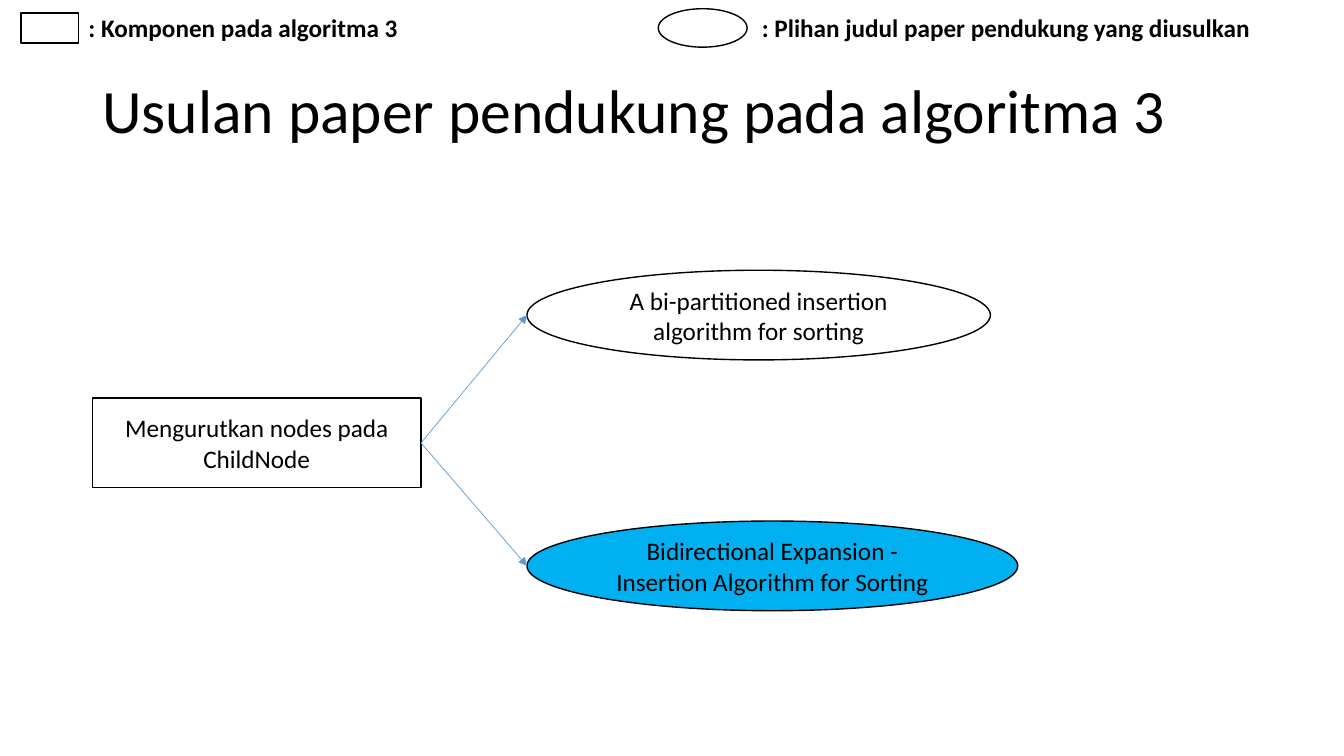
from lxml import etree
from pptx import Presentation
from pptx.dml.color import RGBColor
from pptx.enum.shapes import MSO_CONNECTOR, MSO_SHAPE
from pptx.enum.text import MSO_ANCHOR, MSO_AUTO_SIZE, PP_ALIGN
from pptx.oxml.ns import qn
from pptx.util import Cm, Pt

RECT, OVAL = MSO_SHAPE.RECTANGLE, MSO_SHAPE.OVAL
STRAIGHT = MSO_CONNECTOR.STRAIGHT
TOP, MIDDLE = MSO_ANCHOR.TOP, MSO_ANCHOR.MIDDLE
LEFT, CENTER = PP_ALIGN.LEFT, PP_ALIGN.CENTER
FIT_SHAPE = MSO_AUTO_SIZE.SHAPE_TO_FIT_TEXT
COLORS = {"text": "000000", "paper": "FFFFFF", "chosen": "00B0F0", "arrow": "5B9BD5"}
BODY = {"name": "Calibri", "size": Pt(18), "bold": False}
LEGEND = {**BODY, "bold": True}
TITLE = {**BODY, "size": Pt(44)}


def rgb(name):
    return RGBColor.from_string(COLORS[name])


def write(tf, text, font, align=LEFT, anchor=TOP, wrap=True):
    tf.word_wrap = wrap
    tf.vertical_anchor = anchor
    p = tf.paragraphs[0]
    p.alignment = align
    r = p.add_run()
    r.text = text
    for key, value in font.items():
        setattr(r.font, key, value)
    r.font.color.rgb = rgb("text")
    return p


def add_node(s, kind, box, text="", fill="paper"):
    sp = s.shapes.add_shape(kind, *map(Cm, box))
    sp.shadow.inherit = False
    sp.fill.solid()
    sp.fill.fore_color.rgb = rgb(fill)
    sp.line.color.rgb = rgb("text")
    sp.line.width = Pt(1)
    if text:
        write(sp.text_frame, text, BODY, CENTER, MIDDLE)


def add_arrow(s, start, end):
    cx = s.shapes.add_connector(STRAIGHT, *map(Cm, start + end))
    cx.line.color.rgb = rgb("arrow")
    cx.line.width = Pt(0.5)
    ln = cx.line._get_or_add_ln()
    etree.SubElement(ln, qn("a:tailEnd"), type="triangle")
    etree.SubElement(cx._element.spPr, qn("a:effectLst"))


def add_title(s, box, text):
    tb = s.shapes.add_textbox(*map(Cm, box))
    p = write(tb.text_frame, text, TITLE, anchor=MIDDLE)
    p.line_spacing = 0.9


def add_legend(s, box, kind, key_size, gap, text):
    x, y, w, h = box
    key_w, key_h = key_size
    add_node(s, kind, (x, y + (h - key_h) / 2, key_w, key_h))
    text_x = x + key_w + gap
    tb = s.shapes.add_textbox(Cm(text_x), Cm(y - 0.04), Cm(x + w - text_x), Cm(1.03))
    write(tb.text_frame, text, LEGEND, wrap=False)
    tb.text_frame.auto_size = FIT_SHAPE


def add_diagram(s, box, component, papers):
    x, y, w, h = box
    node_h, component_w, paper_x = 2.26, 8.28, x + 10.95
    component_y = y + 3.22
    add_node(s, RECT, (x, component_y, component_w, node_h), component)
    start = (x + component_w, component_y + node_h / 2)
    step = (h - node_h) / (len(papers) - 1)
    for i, (text, paper_w, fill) in enumerate(papers):
        paper_y = y + i * step
        add_node(s, OVAL, (paper_x, paper_y, paper_w, node_h), text, fill)
        add_arrow(s, start, (paper_x, paper_y + node_h / 2))


def main():
    prs = Presentation()
    prs.slide_width, prs.slide_height = Cm(33.87), Cm(19.05)
    s = prs.slides.add_slide(prs.slide_layouts[6])
    add_title(s, (2.33, 1.02, 29.21, 3.68), "Usulan paper pendukung pada algoritma 3")
    add_legend(s, (0.53, 0.22, 9.83, 0.97), RECT, (1.45, 0.76), 0,
               ": Komponen pada algoritma 3")
    add_legend(s, (16.59, 0.22, 15.31, 0.97), OVAL, (2.24, 0.97), 0.12,
               ": Plihan judul paper pendukung yang diusulkan")
    add_diagram(s, (2.33, 6.81, 23.32, 8.58), "Mengurutkan nodes pada ChildNode", [
        ("A bi-partitioned insertion algorithm for sorting", 11.68, "paper"),
        ("Bidirectional Expansion - Insertion Algorithm for Sorting", 12.37, "chosen"),
    ])
    prs.save("out.pptx")


if __name__ == "__main__":
    main()
